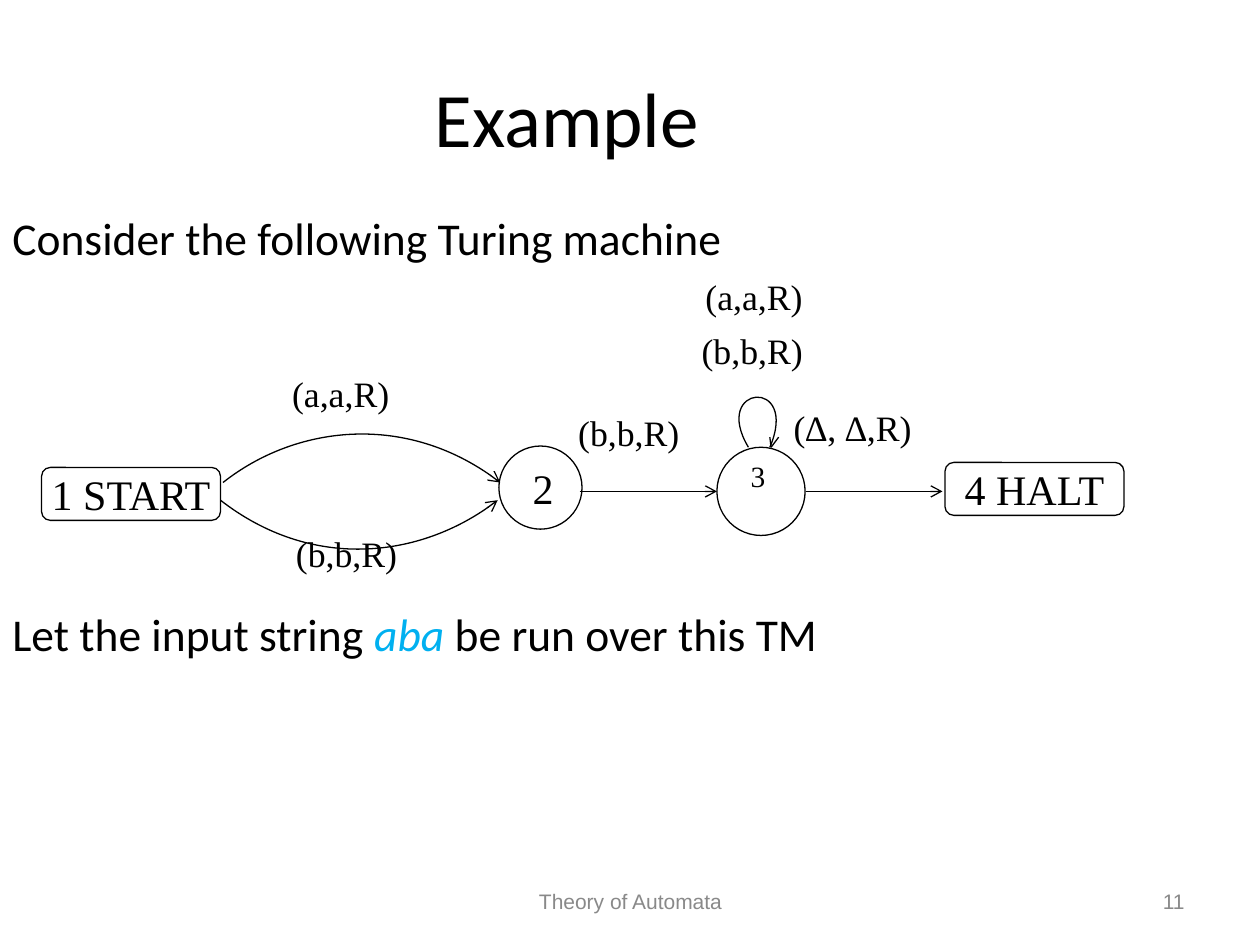
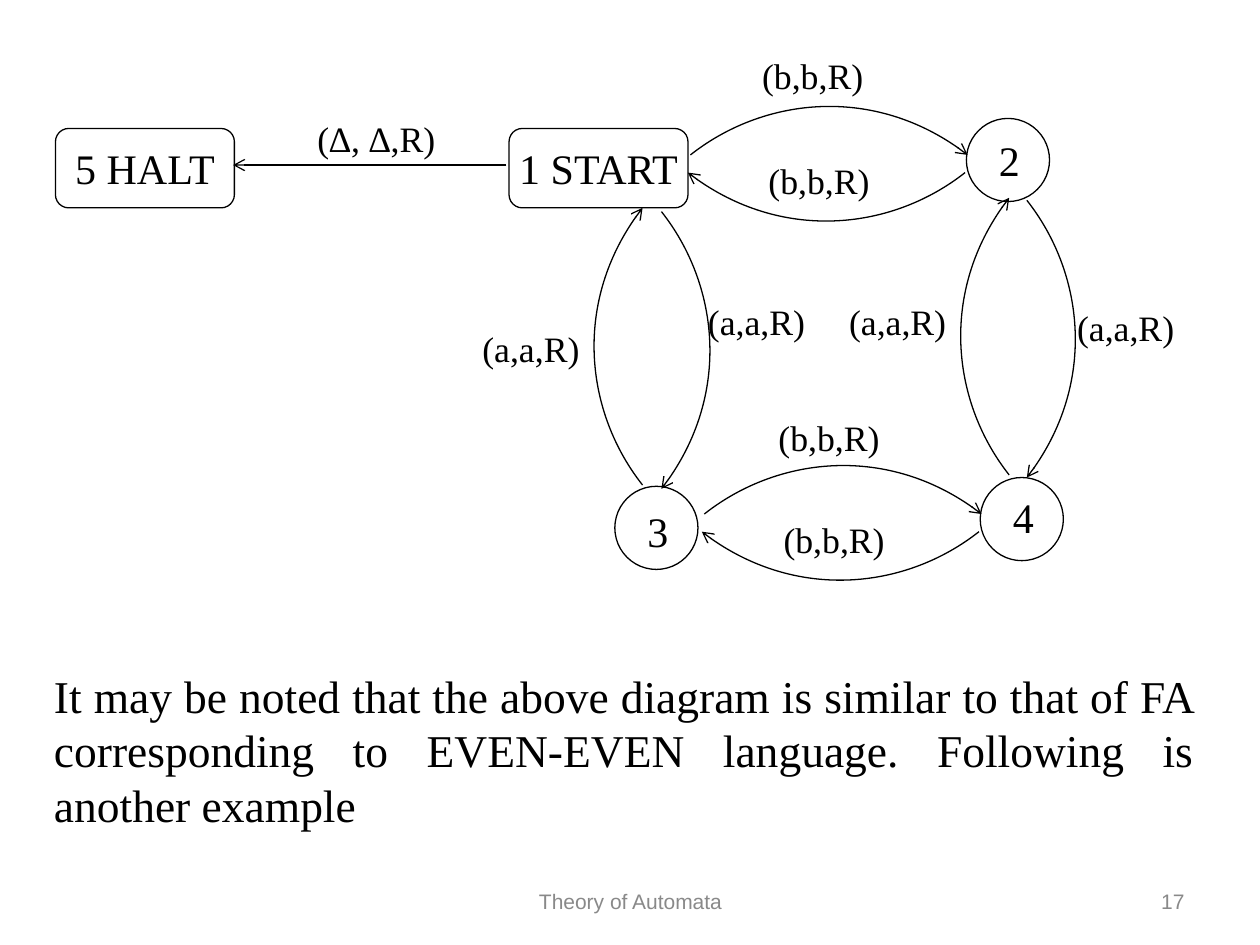
import dataclasses

import pptx
import pptx.dml.color
import pptx.enum.shapes
import pptx.enum.text
import pptx.oxml
import pptx.oxml.ns
import pptx.util

Inches = pptx.util.Inches
Pt = pptx.util.Pt
Color = pptx.dml.color.RGBColor.from_string
ALIGN = pptx.enum.text.PP_ALIGN
ANCHOR = pptx.enum.text.MSO_ANCHOR
SHAPE = pptx.enum.shapes.MSO_SHAPE
qn = pptx.oxml.ns.qn


@dataclasses.dataclass(frozen=True)
class Theme:
    ink: str = "000000"
    paper: str = "FFFFFF"
    accent: str = "00B0F0"
    muted: str = "898989"
    heading_font: str = "Calibri"
    diagram_font: str = "Times New Roman"
    footer_font: str = "Arial"
    title_size: float = 44
    body_size: float = 26
    state_size: float = 24
    label_size: float = 20.4
    small_state_size: float = 16.8
    footer_size: float = 12
    line_width: float = 0.75


theme = Theme()


def write(shape, spans, font, size, align=ALIGN.LEFT, anchor=ANCHOR.TOP,
          color=theme.ink, spacing=None, new_para=False):
    """Write spans into one paragraph; a span is (text, color, italic) or plain text."""
    frame = shape.text_frame
    frame.word_wrap = True
    frame.vertical_anchor = anchor
    para = frame.add_paragraph() if new_para else frame.paragraphs[0]
    para.alignment = align
    para.line_spacing = spacing
    for span in spans:
        text, span_color, italic = (span, color, False) if isinstance(span, str) else span
        run = para.add_run()
        run.text = text
        run.font.name = font
        run.font.size = Pt(size)
        run.font.italic = italic
        run.font.color.rgb = Color(span_color)
    return para


def outline(shape, arrow_end=None):
    """Give a plain black line, no shadow, and an open arrow at "headEnd" or "tailEnd"."""
    shape.line.color.rgb = Color(theme.ink)
    shape.line.width = Pt(theme.line_width)
    if arrow_end:
        arrow = pptx.oxml.parse_xml(
            f'<a:{arrow_end} {pptx.oxml.ns.nsdecls("a")} type="arrow"/>')
        shape.line._get_or_add_ln().append(arrow)
    properties = shape._element.spPr
    if properties.find(qn("a:effectLst")) is None:
        properties.append(properties.makeelement(qn("a:effectLst"), {}))


RIGHT, LEFT, UP, DOWN = (1, 0), (-1, 0), (0, -1), (0, 1)
AA, BB, BLANK = "(a,a,R)", "(b,b,R)", "(∆, ∆,R)"
STATE_DIAMETER = 0.66
BOX_WIDTH = 1.42
# Distance along an arc and height to its left, from the start point
ARC_POINTS = [(0.57, 0.45), (1.48, 0.56), (2.2, 0)]

# boxes: text, left, top, height       states: left, top, diameter
# names: text, left, top, size         arcs: start x, start y, direction, arrow end
# lines: from x, from y, to x, to y, arrow end
# labels: text, left, top
example_machine = dict(
    number="11",
    boxes=[("1 START", 0.33, 3.71, 0.42), ("4 HALT", 7.5, 3.67, 0.42)],
    states=[(3.96, 3.54, STATE_DIAMETER), (5.69, 3.55, 0.7)],
    names=[("2", 4.13, 3.62, theme.state_size), ("3", 5.86, 3.64, theme.small_state_size)],
    arcs=[(1.77, 3.83, RIGHT, "tailEnd"), (3.95, 3.97, LEFT, "headEnd")],
    lines=[(4.6, 3.9, 5.69, 3.9, "tailEnd"), (6.4, 3.9, 7.48, 3.9, "tailEnd"),
           (6.12, 3.55, 6.18, 3.47, None), (6.11, 3.47, 6.12, 3.55, None)],
    loops=[[(5.94, 3.55), (5.64, 3.05), (6.35, 2.99), (6.11, 3.55)]],
    labels=[(AA, 2.22, 2.94), (BB, 2.25, 4.21), (BB, 4.49, 3.25),
            (BB, 5.47, 2.6), (AA, 5.5, 2.17), (BLANK, 6.2, 3.21)],
)
even_even_machine = dict(
    number="17",
    boxes=[("1 START", 4.04, 1.02, 0.63), ("5 HALT", 0.44, 1.02, 0.63)],
    states=[(7.67, 0.94, STATE_DIAMETER), (4.88, 3.86, STATE_DIAMETER),
            (7.78, 3.79, STATE_DIAMETER)],
    names=[("2", 7.83, 1.02, theme.state_size), ("3", 5.04, 3.96, theme.state_size),
           ("4", 7.94, 3.85, theme.state_size)],
    arcs=[(x, y, direction, "tailEnd") for x, y, direction in [
        (7.66, 1.37, LEFT), (5.48, 1.23, RIGHT), (5.1, 3.85, UP), (5.25, 1.68, DOWN),
        (7.77, 4.22, LEFT), (5.59, 4.08, RIGHT), (8.01, 3.77, UP), (8.15, 1.59, DOWN)]],
    lines=[(4.02, 1.31, 1.85, 1.31, "tailEnd")],
    loops=[],
    labels=[(AA, 3.73, 2.58), (BLANK, 2.42, 0.92), (BB, 5.95, 0.42), (BB, 6, 1.25),
            (BB, 6.08, 3.29), (BB, 6.12, 4.1), (AA, 8.45, 2.42), (AA, 6.64, 2.37),
            (AA, 5.52, 2.37)],
)

deck = pptx.Presentation()
deck.slide_width, deck.slide_height = Inches(10), Inches(7.5)
pages = []

for machine in (example_machine, even_even_machine):
    page = deck.slides.add_slide(deck.slide_layouts[6])
    pages.append(page)

    for left, top, diameter in machine["states"]:
        state = page.shapes.add_shape(SHAPE.OVAL, Inches(left), Inches(top),
                                      Inches(diameter), Inches(diameter))
        state.shadow.inherit = False
        state.fill.solid()
        state.fill.fore_color.rgb = Color(theme.paper)
        outline(state)

    curves = [(points, None) for points in machine["loops"]]
    for x, y, (dx, dy), arrow_end in machine["arcs"]:
        points = [(x, y)] + [(x + along * dx + rise * dy, y + along * dy - rise * dx)
                             for along, rise in ARC_POINTS]
        curves.append((points, arrow_end))
    for points, arrow_end in curves:
        corners = [(Inches(x), Inches(y)) for x, y in points]
        builder = page.shapes.build_freeform(*corners[0])
        builder.add_line_segments(corners[1:], close=False)
        curve = builder.convert_to_shape()
        # Turn the three line segments into one cubic curve
        segments = list(curve._element.iter(qn("a:lnTo")))
        outline_path = segments[0].getparent()
        cubic = outline_path.makeelement(qn("a:cubicBezTo"), {})
        for segment in segments:
            cubic.append(segment[0])
            outline_path.remove(segment)
        outline_path.append(cubic)
        curve.shadow.inherit = False
        curve.fill.background()
        outline(curve, arrow_end)

    for text, left, top, height in machine["boxes"]:
        box = page.shapes.add_shape(SHAPE.ROUNDED_RECTANGLE, Inches(left), Inches(top),
                                    Inches(BOX_WIDTH), Inches(height))
        box.shadow.inherit = False
        box.fill.background()
        outline(box)
        write(box, [text], theme.diagram_font, theme.state_size, ALIGN.CENTER, ANCHOR.MIDDLE)
        box.text_frame.word_wrap = False

    for from_x, from_y, to_x, to_y, arrow_end in machine["lines"]:
        line = page.shapes.add_connector(
            pptx.enum.shapes.MSO_CONNECTOR.STRAIGHT,
            Inches(from_x), Inches(from_y), Inches(to_x), Inches(to_y))
        outline(line, arrow_end)

    for text, left, top in machine["labels"]:
        label = page.shapes.add_textbox(Inches(left), Inches(top), Inches(1.21), Inches(0.46))
        write(label, [text], theme.diagram_font, theme.label_size, spacing=0.9)

    for text, left, top, size in machine["names"]:
        name = page.shapes.add_textbox(Inches(left), Inches(top), Inches(0.5), Inches(0.5))
        write(name, [text], theme.diagram_font, size,
              spacing=0.8 if size == theme.small_state_size else None)

    for text, left, width, align in [("Theory of Automata", 3.42, 3.17, ALIGN.CENTER),
                                     (machine["number"], 7.17, 2.33, ALIGN.RIGHT)]:
        footer = page.shapes.add_textbox(Inches(left), Inches(6.95), Inches(width), Inches(0.4))
        write(footer, [text], theme.footer_font, theme.footer_size, align,
              ANCHOR.MIDDLE, theme.muted)

example_page, even_even_page = pages

title = example_page.shapes.add_textbox(0, Inches(0.3), Inches(9), Inches(1.25))
write(title, ["Example"], theme.heading_font, theme.title_size, ALIGN.CENTER, ANCHOR.MIDDLE)

body = example_page.shapes.add_textbox(0, Inches(1.62), Inches(9), Inches(4.95))
write(body, ["Consider the following Turing machine"],
      theme.heading_font, theme.body_size, ALIGN.JUSTIFY)
question = write(body, ["Let the input string ", ("aba", theme.accent, True),
                        " be run over this TM"],
                 theme.heading_font, theme.body_size, ALIGN.JUSTIFY, new_para=True)
question.space_before = Pt(195)  # leaves room for the diagram

remark = even_even_page.shapes.add_textbox(Inches(0.33), Inches(5.25), Inches(9.25), Inches(1.4))
write(remark, ["It may be noted that the above diagram is similar to that of FA corresponding "
               "to EVEN-EVEN language. Following is another example"],
      theme.diagram_font, theme.body_size, ALIGN.JUSTIFY)

deck.save("out.pptx")
